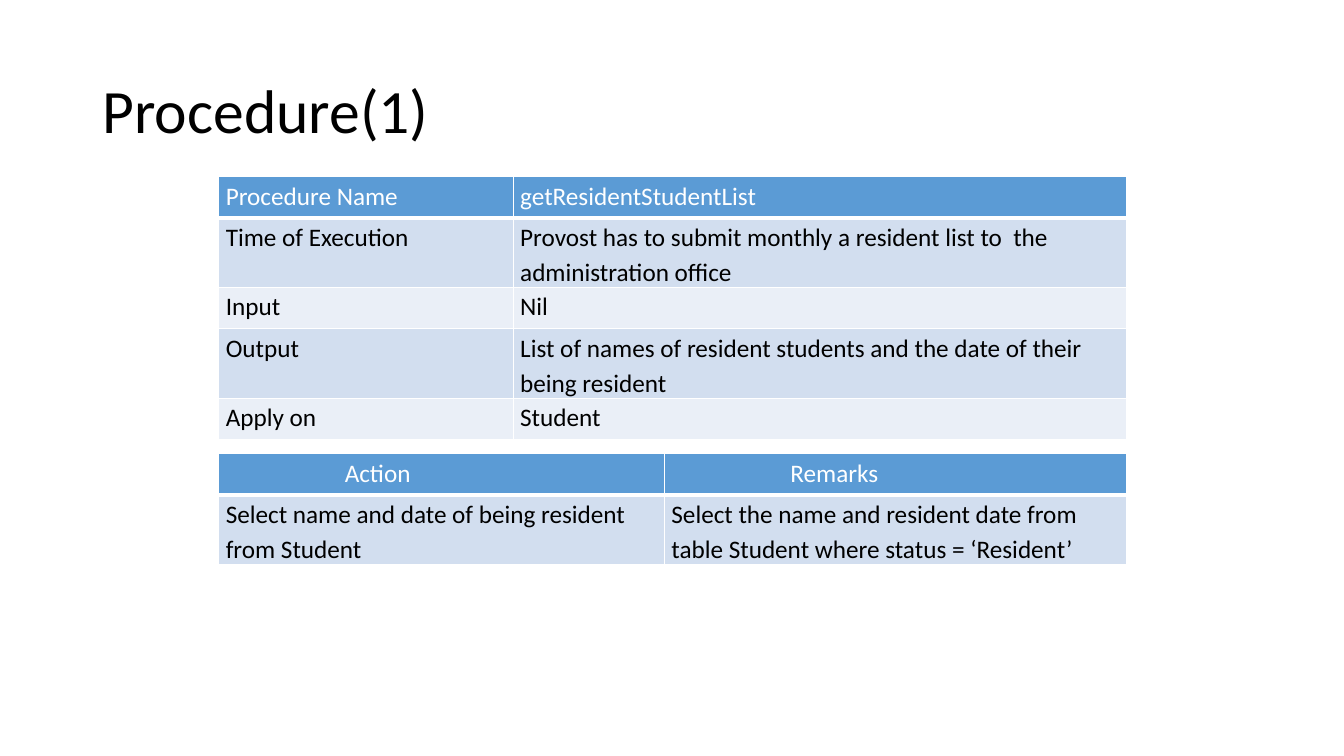
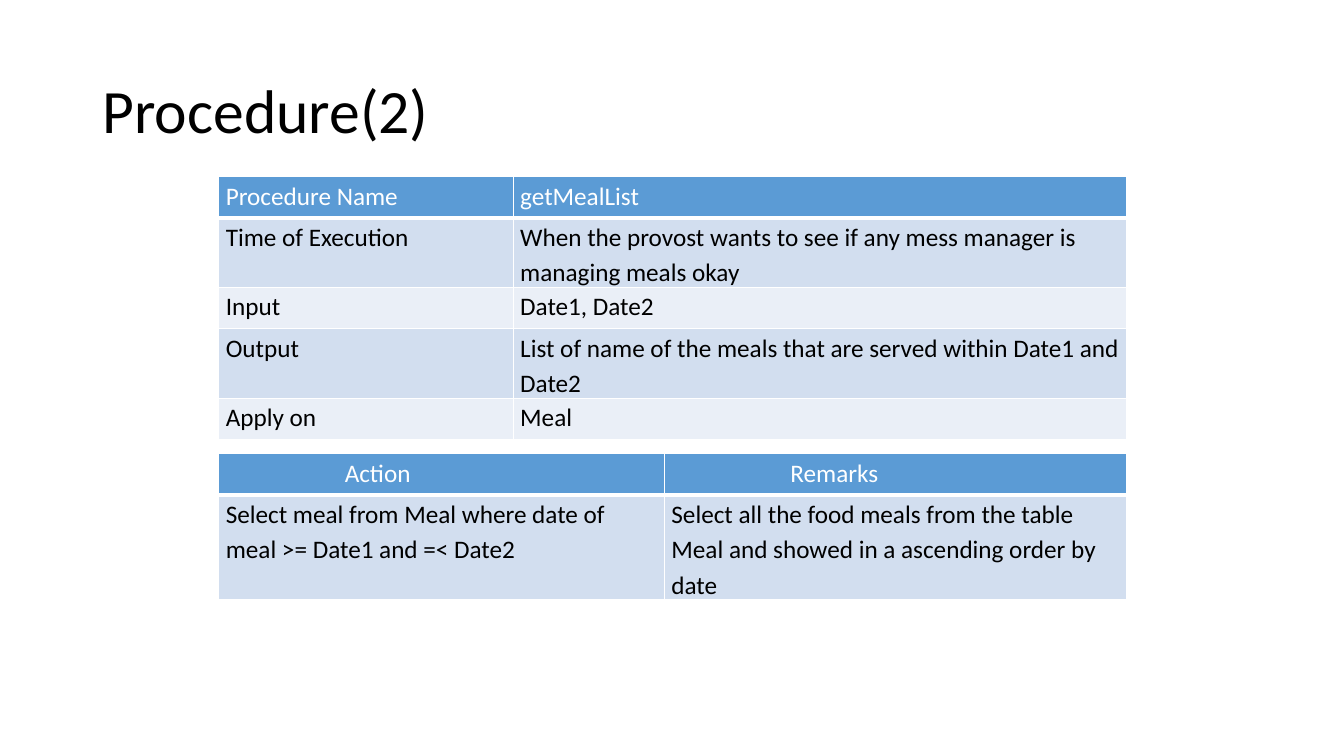
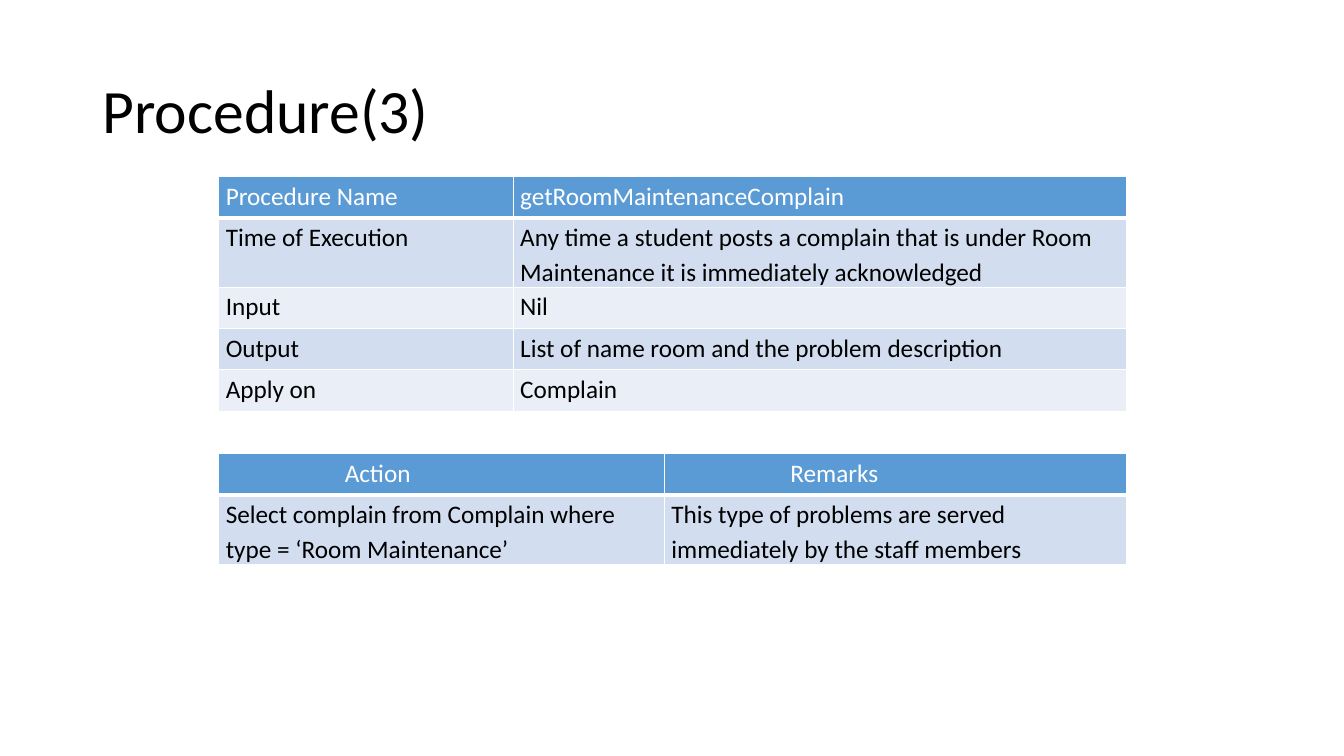
from lxml import etree
from pptx import Presentation
from pptx import util as u
from pptx.dml.color import RGBColor
from pptx.enum import text
from pptx.oxml.ns import qn

FIELDS = ["Procedure Name", "Time of Execution", "Input", "Output", "Apply on"]
STEPS = ["Action", "Remarks"]
PROCEDURES = [
    {
        "title": "Procedure(1)",
        "details": [
            "getResidentStudentList",
            "Provost has to submit monthly a resident list to  the administration office",
            "Nil",
            "List of names of resident students and the date of their being resident",
            "Student",
        ],
        "step": [
            "Select name and date of being resident from Student",
            "Select the name and resident date from table Student where status = ‘Resident’",
        ],
    },
    {
        "title": "Procedure(2)",
        "details": [
            "getMealList",
            "When the provost wants to see if any mess manager is managing meals okay",
            "Date1, Date2",
            "List of name of the meals that are served within Date1 and Date2",
            "Meal",
        ],
        "step": [
            "Select meal from Meal where date of meal >= Date1 and =< Date2",
            "Select all the food meals from the table Meal and showed in a ascending order by date",
        ],
    },
    {
        "title": "Procedure(3)",
        "details": [
            "getRoomMaintenanceComplain",
            "Any time a student posts a complain that is under Room Maintenance "
            "it is immediately acknowledged",
            "Nil",
            "List of name room and the problem description",
            "Complain",
        ],
        "step": [
            "Select complain from Complain where type = ‘Room Maintenance’",
            "This type of problems are served immediately by the staff members",
        ],
    },
]

COLORS = {
    "header": "5B9BD5",
    "odd": "D2DEEF",
    "even": "EAEFF7",
    "line": "FFFFFF",
    "header_text": "FFFFFF",
    "text": "000000",
}
FONT = "Calibri"
TABLE_LEFT = 2.17
DETAILS_TOP, DETAILS_COLUMNS = 1.75, [2.92, 6.08]
STEPS_TOP, STEPS_COLUMNS = 4.5, [4.42, 4.58]
ROW_HEIGHT = 0.41
STEPS_INDENT = 1.18


def style_paragraph(paragraph, size, color, spacing):
    paragraph.line_spacing = spacing
    for run in paragraph.runs:
        run.font.name = FONT
        run.font.size = u.Pt(size)
        run.font.color.rgb = RGBColor.from_string(COLORS[color])


def add_borders(cell, bottom):
    properties = cell._tc.get_or_add_tcPr()
    for side, width in (("L", 1), ("R", 1), ("T", 1), ("B", bottom)):
        line = etree.SubElement(properties, qn(f"a:ln{side}"), w=str(u.Pt(width)))
        fill = etree.SubElement(line, qn("a:solidFill"))
        etree.SubElement(fill, qn("a:srgbClr"), val=COLORS["line"])


def add_title(slide, title):
    box = slide.shapes.add_textbox(u.Inches(0.92), u.Inches(0.4), u.Inches(11.5), u.Inches(1.45))
    frame = box.text_frame
    frame.word_wrap = True
    frame.vertical_anchor = text.MSO_ANCHOR.MIDDLE
    frame.text = title
    style_paragraph(frame.paragraphs[0], 44, "text", 0.9)


def add_grid(slide, top, widths, rows, header_indent=0):
    table = slide.shapes.add_table(
        len(rows), len(widths), u.Inches(TABLE_LEFT), u.Inches(top),
        u.Inches(sum(widths)), u.Inches(ROW_HEIGHT * len(rows)),
    ).table
    for column, width in zip(table.columns, widths):
        column.width = u.Inches(width)
    for i, row in enumerate(rows):
        table.rows[i].height = u.Inches(ROW_HEIGHT)
        band = "header" if i == 0 else "odd" if i % 2 else "even"
        for j, words in enumerate(row):
            cell = table.cell(i, j)
            cell.margin_left = cell.margin_right = u.Inches(0.07)
            cell.margin_top = cell.margin_bottom = 0
            add_borders(cell, 1 if i else 3)
            cell.fill.solid()
            cell.fill.fore_color.rgb = RGBColor.from_string(COLORS[band])
            cell.text_frame.text = words
            paragraph = cell.text_frame.paragraphs[0]
            style_paragraph(paragraph, 18, "text" if i else "header_text", 1.15)
            for run in paragraph.runs:
                run.font.bold = False
            if i == 0 and header_indent:
                paragraph._p.get_or_add_pPr().set("marL", str(u.Inches(header_indent)))


deck = Presentation()
deck.slide_width, deck.slide_height = u.Inches(13.33), u.Inches(7.5)
for procedure in PROCEDURES:
    slide = deck.slides.add_slide(deck.slide_layouts[6])
    add_title(slide, procedure["title"])
    add_grid(slide, DETAILS_TOP, DETAILS_COLUMNS, list(zip(FIELDS, procedure["details"])))
    add_grid(slide, STEPS_TOP, STEPS_COLUMNS, [STEPS, procedure["step"]], STEPS_INDENT)
deck.save("out.pptx")
